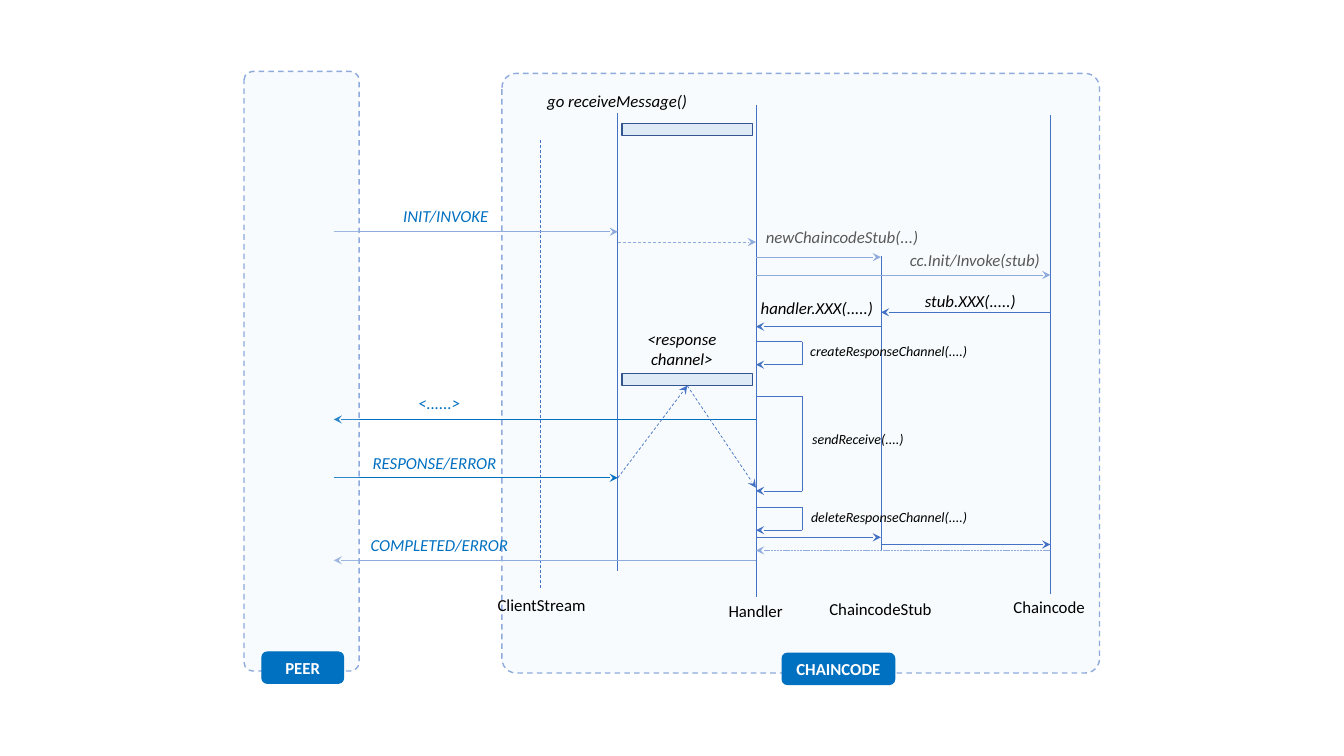
from lxml import etree
from pptx import Presentation
from pptx.dml.color import RGBColor
from pptx.enum import dml, shapes, text
from pptx.oxml import ns
from pptx.util import Cm, Pt

BLUE, PALE, STRONG, DARK = "4472C4", "8FAADC", "0070C0", "325491"
MIST, BLACK, GREY, WHITE = "DEEBF7", "000000", "595959", "FFFFFF"
DASH, DOTS = dml.MSO_LINE.DASH, dml.MSO_LINE.SQUARE_DOT

# Horizontal positions of the lifelines, in cm
PEER, STREAM, RECEIVER, HANDLER, STUB, CHAINCODE = 8.41, 13.61, 15.57, 19.05, 22.2, 26.47
LOOP_WIDTH = 1.17

LIFELINES = [
    (STREAM, 3.53, 14.86, DASH), (RECEIVER, 2.84, 14.38, None),
    (HANDLER, 2.64, 15.04, None), (STUB, 6.45, 13.87, None),
    (CHAINCODE, 2.9, 14.96, None),
]
MESSAGES = [
    (PEER, RECEIVER, 5.84, PALE, None), (RECEIVER, HANDLER, 6.1, PALE, DASH),
    (HANDLER, STUB, 6.48, PALE, None), (HANDLER, CHAINCODE, 6.93, PALE, None),
    (CHAINCODE, STUB, 7.87, BLUE, None), (STUB, HANDLER, 8.23, BLUE, None),
    (HANDLER, PEER, 10.57, STRONG, None), (PEER, RECEIVER, 12.04, STRONG, None),
    (HANDLER, STUB, 13.54, BLUE, None), (STUB, CHAINCODE, 13.72, BLUE, None),
    (CHAINCODE, HANDLER, 13.87, PALE, DOTS), (HANDLER, PEER, 14.12, PALE, None),
]
SELF_CALLS = [(8.61, 9.19), (9.98, 12.37), (12.78, 13.36)]

PARTICIPANTS = [
    ("ClientStream", 12.29, 14.86, 2.74), ("Handler", 18.11, 15.01, 1.88),
]
PEER_LABELS = [
    ("INIT/INVOKE", 9.91, 5.05, 2.69), ("<......>", 10.29, 9.78, 1.57),
    ("RESPONSE/ERROR", 9.14, 11.28, 3.66), ("COMPLETED/ERROR", 9.09, 13.34, 4.01),
]
SETUP_LABELS = [
    ("newChaincodeStub(...)", 19.05, 5.59, 4.37),
    ("cc.Init/Invoke(stub)", 22.68, 6.17, 3.81),
]
CALL_LABELS = [
    ("go receiveMessage()", 13.54, 2.16, 4.06),
    ("stub.XXX(.....)", 23.06, 7.19, 2.82),
    ("handler.XXX(.....)", 18.92, 7.39, 3.38),
]
LOOP_LABELS = [
    ("createResponseChannel(....)", 20.17, 8.51, 4.62),
    ("sendReceive(....)", 20.22, 10.72, 2.84),
    ("deleteResponseChannel(....)", 20.19, 12.7, 4.5),
]


def color(value):
    return RGBColor.from_string(value)


def write(frame, words, size=12, fill=BLACK, bold=False, italic=False, centred=False):
    para = frame.paragraphs[0]
    para.alignment = text.PP_ALIGN.CENTER if centred else text.PP_ALIGN.LEFT
    span = para.add_run()
    span.text = words
    span.font.name = "Calibri"
    span.font.size = Pt(size)
    span.font.bold = bold
    span.font.italic = italic
    span.font.color.rgb = color(fill)


def add_label(page, words, left, top, width, height=0.77, wrap=False, **style):
    box = page.shapes.add_textbox(Cm(left), Cm(top), Cm(width), Cm(height))
    box.text_frame.word_wrap = wrap
    box.text_frame.auto_size = text.MSO_AUTO_SIZE.SHAPE_TO_FIT_TEXT
    write(box.text_frame, words, **style)


def add_box(page, kind, left, top, width, height, fill, line, weight=1):
    box = page.shapes.add_shape(kind, Cm(left), Cm(top), Cm(width), Cm(height))
    box.shadow.inherit = False
    box.fill.solid()
    box.fill.fore_color.rgb = color(fill)
    box.line.color.rgb = color(line)
    box.line.width = Pt(weight)
    return box


def add_frame(page, left, top, width, height, corner):
    """Dashed rounded area with a fill of 20 % opacity."""
    kind = shapes.MSO_SHAPE.ROUNDED_RECTANGLE
    frame = add_box(page, kind, left, top, width, height, MIST, PALE)
    frame.adjustments[0] = corner
    frame.line.dash_style = DASH
    tint = frame.element.spPr.find(ns.qn("a:solidFill"))[0]
    etree.SubElement(tint, ns.qn("a:alpha"), val="20000")


def add_badge(page, words, left, top, width):
    kind = shapes.MSO_SHAPE.ROUNDED_RECTANGLE
    badge = add_box(page, kind, left, top, width, 0.79, STRONG, STRONG, 0.75)
    frame = badge.text_frame
    frame.margin_left = frame.margin_right = Cm(0.25)
    frame.margin_top = frame.margin_bottom = Cm(0.1)
    frame.vertical_anchor = text.MSO_ANCHOR.MIDDLE
    write(frame, words, fill=WHITE, bold=True, centred=True)


def add_channel(page, top):
    return add_box(page, shapes.MSO_SHAPE.RECTANGLE, 15.68, top, 3.28, 0.3, MIST, DARK)


def add_line(page, start, end, stroke=BLUE, dash=None, arrow=False):
    line = page.shapes.add_connector(
        shapes.MSO_CONNECTOR.STRAIGHT, *(Cm(value) for value in (*start, *end)))
    line.line.color.rgb = color(stroke)
    line.line.width = Pt(0.5)
    if dash is not None:
        line.line.dash_style = dash
    if arrow:
        etree.SubElement(line.get_or_add_ln(), ns.qn("a:tailEnd"), type="stealth")
    etree.SubElement(line.element.spPr, ns.qn("a:effectLst"))
    return line


def add_self_call(page, top, bottom):
    """Loop that leaves the handler and comes back to it lower down."""
    right = HANDLER + LOOP_WIDTH
    add_line(page, (HANDLER, top), (right, top))
    add_line(page, (right, top), (right, bottom))
    add_line(page, (right, bottom), (HANDLER, bottom), arrow=True)


def add_labels(page, labels, **style):
    for words, left, top, width in labels:
        add_label(page, words, left, top, width, **style)


def main():
    deck = Presentation()
    deck.slide_width, deck.slide_height = Cm(33.87), Cm(19.05)
    page = deck.slides.add_slide(deck.slide_layouts[6])

    add_frame(page, 12.65, 1.85, 15.06, 15.11, 0.024)
    for across, top, bottom, dash in LIFELINES:
        add_line(page, (across, top), (across, bottom), dash=dash)
    add_channel(page, 3.12)
    response_channel = add_channel(page, 9.42)

    for start, end, down, stroke, dash in MESSAGES:
        add_line(page, (start, down), (end, down), stroke, dash, arrow=True)
    for top, bottom in SELF_CALLS:
        add_self_call(page, top, bottom)
    channel_bottom = (17.32, 9.72)
    reply = add_line(page, (RECEIVER, 12.04), channel_bottom, dash=DASH, arrow=True)
    reply.end_connect(response_channel, 2)
    delivery = add_line(page, channel_bottom, (HANDLER, 12.29), dash=DASH, arrow=True)
    delivery.begin_connect(response_channel, 2)

    add_labels(page, PARTICIPANTS)
    add_label(page, "ChaincodeStub", 20.65, 14.96, 3.12, wrap=True)
    add_label(page, "Chaincode", 25.27, 14.91, 2.34, wrap=True, centred=True)
    add_labels(page, PEER_LABELS, fill=STRONG, italic=True)
    add_labels(page, SETUP_LABELS, fill=GREY, italic=True)
    add_labels(page, CALL_LABELS, italic=True)
    add_labels(page, LOOP_LABELS, height=0.68, size=10, italic=True)
    add_label(page, "<response channel>", 15.98, 8.15, 2.41, 1.27,
              wrap=True, italic=True, centred=True)

    add_badge(page, "CHAINCODE", 19.71, 16.46, 2.84)
    add_frame(page, 6.15, 1.8, 2.9, 15.11, 0.075)
    add_badge(page, "PEER", 6.6, 16.43, 2.06)
    deck.save("out.pptx")


if __name__ == "__main__":
    main()
